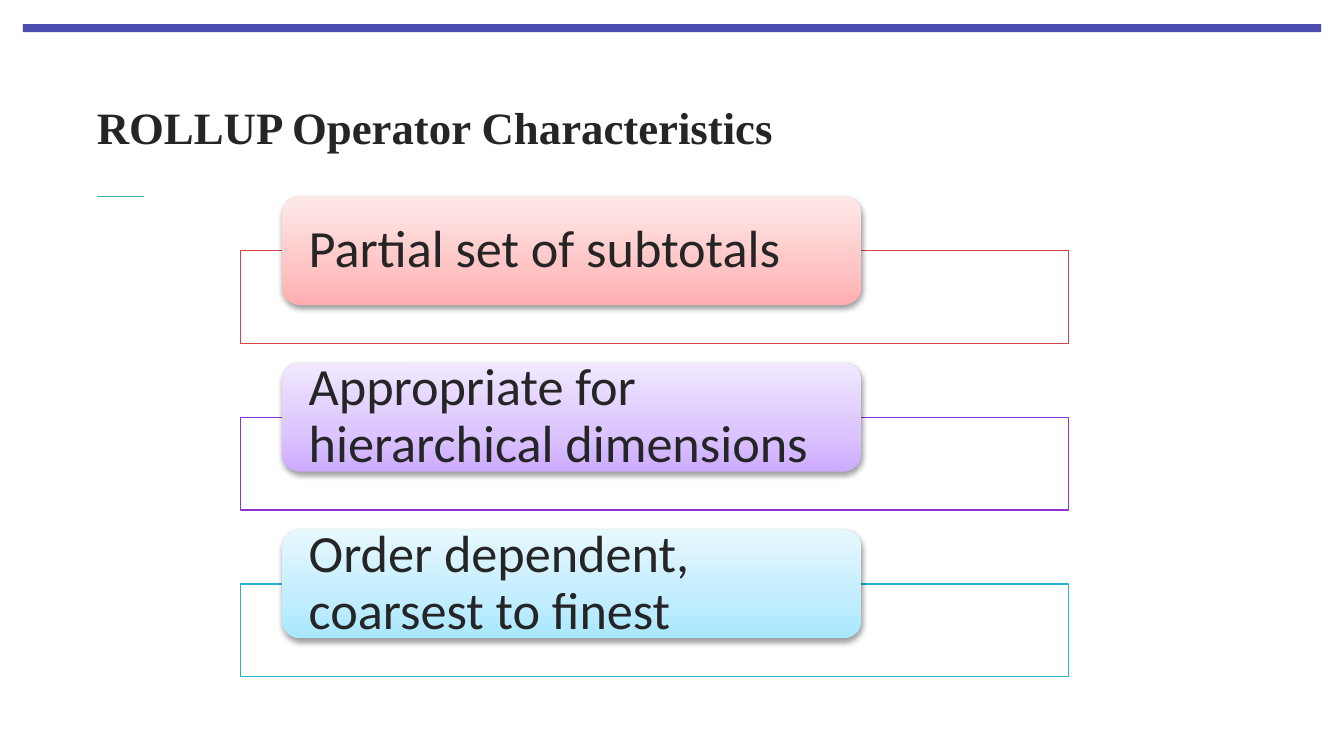
"""Build the ROLLUP operator characteristics slide."""
import lxml.etree
import pptx
import pptx.dml.color
import pptx.enum.dml
import pptx.enum.shapes
import pptx.enum.text
import pptx.oxml
import pptx.oxml.ns
import pptx.util

TITLE = "ROLLUP Operator Characteristics"
ITEMS = [
    ("Partial set of subtotals", "D64349", ("FFADAF", "FFC5C6", "FFE9E9")),
    ("Appropriate for hierarchical dimensions", "8F32D6", ("CDABFF", "DBC4FF", "F1E8FF")),
    ("Order dependent, coarsest to finest", "27B2D0", ("A8E7FF", "C1EDFF", "E8F8FF")),
]
THEME = {
    "bar": "4B4CAD", "accent": "3BAFA2", "text": "252525", "panel": "FFFFFF",
    "title_font": "Times New Roman", "title_size": 24,
    "body_font": "Calibri", "body_size": 28,
}
WIDTH = 10
HEIGHT = WIDTH * 9 / 16
MARGIN = 0.72
TOP, PITCH = 1.46, 1.24
PANEL_X, PANEL_W, PANEL_H = 1.79, 6.16, 0.69
LABEL_W, LABEL_H = 0.7 * PANEL_W, 0.81
LABEL_X = PANEL_X + 0.05 * PANEL_W
STOPS = (0, 35, 100)
NS = pptx.oxml.ns.nsdecls("a")

inch = pptx.util.Inches
pt = pptx.util.Pt
SHAPE = pptx.enum.shapes.MSO_SHAPE
MIDDLE = pptx.enum.text.MSO_ANCHOR.MIDDLE
LEFT = pptx.enum.text.PP_ALIGN.LEFT


def rgb(value):
    return pptx.dml.color.RGBColor.from_string(value)


def write(sp, text, font, size, bold, inset_x=0):
    tf = sp.text_frame
    tf.text = text
    tf.word_wrap = True
    tf.auto_size = pptx.enum.text.MSO_AUTO_SIZE.NONE
    tf.vertical_anchor = MIDDLE
    tf.margin_left = tf.margin_right = inch(inset_x)
    tf.margin_top = tf.margin_bottom = 0
    p = tf.paragraphs[0]
    p.alignment = LEFT
    r = p.runs[0]
    r.font.name, r.font.size, r.font.bold = font, pt(size), bold
    r.font.color.rgb = rgb(THEME["text"])
    return p


def add_box(slide, kind, x, y, w, h, color=None):
    sp = slide.shapes.add_shape(kind, inch(x), inch(y), inch(w), inch(h))
    sp.shadow.inherit = False
    sp.line.fill.background()
    if color:
        sp.fill.solid()
        sp.fill.fore_color.rgb = rgb(color)
    return sp


def add_panel(slide, y, color):
    sp = add_box(slide, SHAPE.RECTANGLE, PANEL_X, y, PANEL_W, PANEL_H, THEME["panel"])
    sp.line.color.rgb = rgb(color)
    sp.line.width = pt(0.75)
    fill = sp._element.spPr.find(pptx.oxml.ns.qn("a:solidFill"))
    fill[0].append(pptx.oxml.parse_xml(f'<a:alpha {NS} val="90000"/>'))


def add_label(slide, y, text, colors):
    sp = add_box(slide, SHAPE.ROUNDED_RECTANGLE, LABEL_X, y, LABEL_W, LABEL_H)
    sp.fill.gradient()
    sp.fill.gradient_angle = 90
    spPr = sp._element.spPr
    stops = spPr.find(".//" + pptx.oxml.ns.qn("a:gsLst"))
    for old in list(stops):
        stops.remove(old)
    for pos, color in zip(STOPS, colors):
        stops.append(pptx.oxml.parse_xml(
            f'<a:gs {NS} pos="{pos * 1000}"><a:srgbClr val="{color}"/></a:gs>'))
    spPr.find(pptx.oxml.ns.qn("a:effectLst")).append(pptx.oxml.parse_xml(
        f'<a:outerShdw {NS} blurRad="{pt(3.1)}" dist="{pt(1.6)}" dir="5400000" rotWithShape="0">'
        '<a:srgbClr val="000000"><a:alpha val="38000"/></a:srgbClr></a:outerShdw>'))
    p = write(sp, text, THEME["body_font"], THEME["body_size"], False, 0.16)
    p.line_spacing = 0.9


def main():
    prs = pptx.Presentation()
    prs.slide_width, prs.slide_height = inch(WIDTH), inch(HEIGHT)
    slide = prs.slides.add_slide(prs.slide_layouts[5])

    add_box(slide, SHAPE.RECTANGLE, 0.17, 0.18, WIDTH - 2 * 0.17, 0.06, THEME["bar"])
    rule = slide.shapes.add_connector(
        pptx.enum.shapes.MSO_CONNECTOR.STRAIGHT,
        inch(MARGIN), inch(TOP), inch(MARGIN + 0.35), inch(TOP))
    rule.line.color.rgb = rgb(THEME["accent"])
    rule.line.width = pt(0.5)
    lxml.etree.SubElement(rule._element.spPr, pptx.oxml.ns.qn("a:effectLst"))

    title = slide.shapes.title
    title.left, title.top = inch(MARGIN), inch(0.47)
    title.width, title.height = inch(8.71), inch(0.94)
    write(title, TITLE, THEME["title_font"], THEME["title_size"], True)

    for i, (text, color, gradient) in enumerate(ITEMS):
        y = TOP + i * PITCH
        add_panel(slide, y + LABEL_H / 2, color)
        add_label(slide, y, text, gradient)

    prs.save("out.pptx")


if __name__ == "__main__":
    main()
